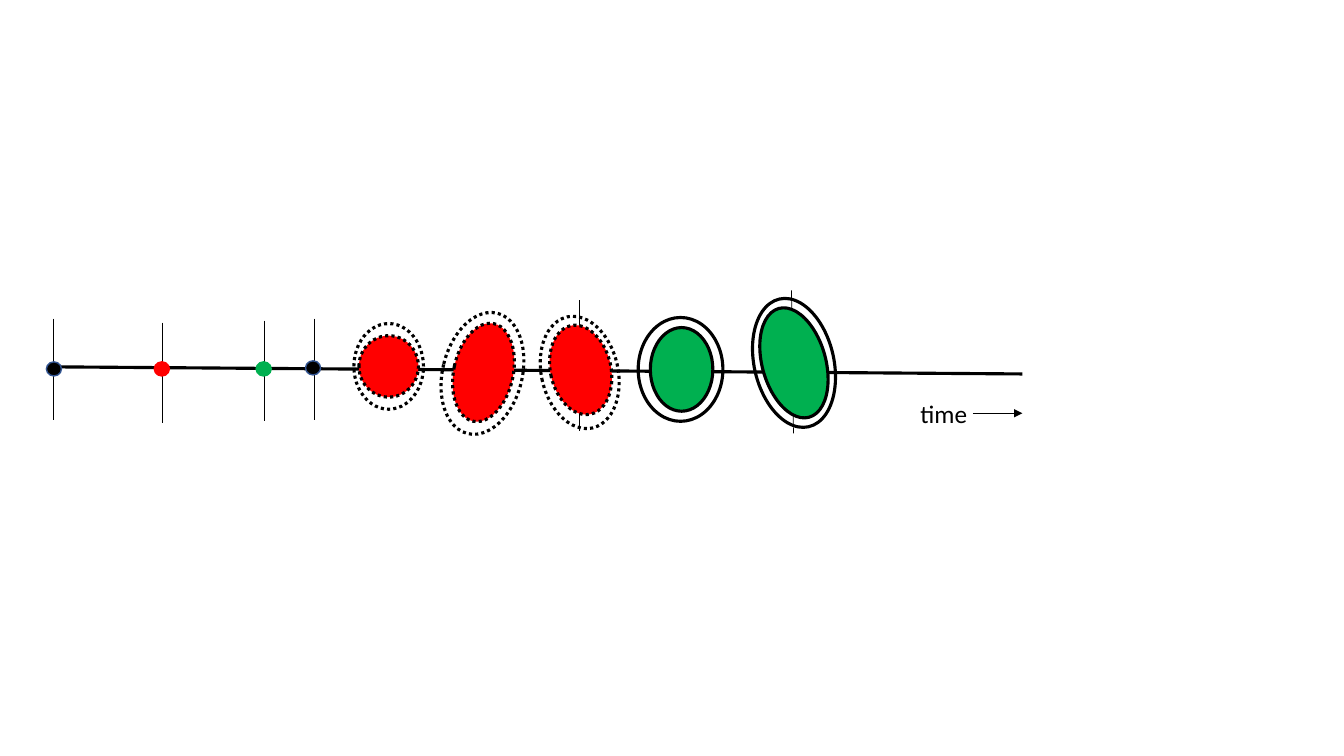
from pptx import Presentation
from pptx.dml.color import RGBColor
from pptx.enum.dml import MSO_LINE
from pptx.enum.shapes import MSO_CONNECTOR, MSO_SHAPE
from pptx.enum.text import MSO_AUTO_SIZE
from pptx.oxml.ns import qn
from pptx.util import Inches, Pt
from lxml import etree

BLACK, RED, GREEN, NAVY = "000000", "FF0000", "00B050", "325491"


def add_line(x1, y1, x2, y2, width=0.5):
    c = s.shapes.add_connector(MSO_CONNECTOR.STRAIGHT, Inches(x1), Inches(y1), Inches(x2), Inches(y2))
    c.line.color.rgb = RGBColor.from_string(BLACK)
    c.line.width = Pt(width)
    etree.SubElement(c._element.spPr, qn("a:effectLst"))
    return c


def add_ellipse(x, y, w, h, fill=None, line=BLACK, width=2.25, rot=0, dotted=False):
    e = s.shapes.add_shape(MSO_SHAPE.OVAL, Inches(x), Inches(y), Inches(w), Inches(h))
    e.shadow.inherit = False
    e.rotation = rot
    if fill:
        e.fill.solid()
        e.fill.fore_color.rgb = RGBColor.from_string(fill)
    else:
        e.fill.background()
    e.line.color.rgb = RGBColor.from_string(line)
    e.line.width = Pt(width)
    if dotted:
        e.line.dash_style = MSO_LINE.ROUND_DOT


prs = Presentation()
prs.slide_width, prs.slide_height = Inches(13.33), Inches(7.5)
s = prs.slides.add_slide(prs.slide_layouts[6])

# Vertical time marks
for x1, y1, x2, y2 in [
    (5.75, 2.98, 5.75, 4.28),
    (7.85, 2.88, 7.87, 4.3),
    (3.12, 3.16, 3.12, 4.17),
    (2.62, 3.18, 2.62, 4.18),
    (1.61, 3.2, 1.61, 4.2),
    (0.53, 3.16, 0.53, 4.17),
]:
    add_line(x1, y1, x2, y2)

# Time axis
add_line(0.59, 3.64, 10.14, 3.71, 2.25)

# Event dots
for x, y, fill, line in [
    (3.03, 3.58, BLACK, NAVY),
    (0.46, 3.59, BLACK, NAVY),
    (1.53, 3.59, RED, RED),
    (2.54, 3.59, GREEN, GREEN),
]:
    add_ellipse(x, y, 0.15, 0.14, fill, line, 1)

# Filled ellipses: red ones dotted, green ones solid
for x, y, w, h, rot, fill in [
    (3.56, 3.33, 0.59, 0.61, 0, RED),
    (4.5, 3.2, 0.59, 0.99, 12, RED),
    (5.46, 3.22, 0.6, 0.9, 347.1, RED),
    (6.45, 3.25, 0.62, 0.83, 0, GREEN),
    (7.56, 3.04, 0.63, 1.12, 344.4, GREEN),
]:
    add_ellipse(x, y, w, h, fill, rot=rot, dotted=fill == RED)

# Outer rings
for x, y, w, h, rot, dotted in [
    (5.37, 3.13, 0.76, 1.13, 347.1, True),
    (4.39, 3.09, 0.79, 1.23, 13.8, True),
    (7.48, 2.95, 0.79, 1.3, 347.1, False),
    (3.51, 3.21, 0.69, 0.85, 0, True),
    (6.33, 3.15, 0.84, 1.03, 0, False),
]:
    add_ellipse(x, y, w, h, rot=rot, dotted=dotted)

# Time label and arrow
tf = s.shapes.add_textbox(Inches(9.03), Inches(3.9), Inches(0.75), Inches(0.4)).text_frame
tf.word_wrap = True
tf.auto_size = MSO_AUTO_SIZE.SHAPE_TO_FIT_TEXT
r = tf.paragraphs[0].add_run()
r.text = "time"
for name, value in {"name": "Calibri", "size": Pt(18)}.items():
    setattr(r.font, name, value)
r.font.color.rgb = RGBColor.from_string(BLACK)

arrow = add_line(9.65, 4.1, 10.14, 4.1)
etree.SubElement(arrow.line._get_or_add_ln(), qn("a:tailEnd"), type="triangle")

prs.save("out.pptx")
